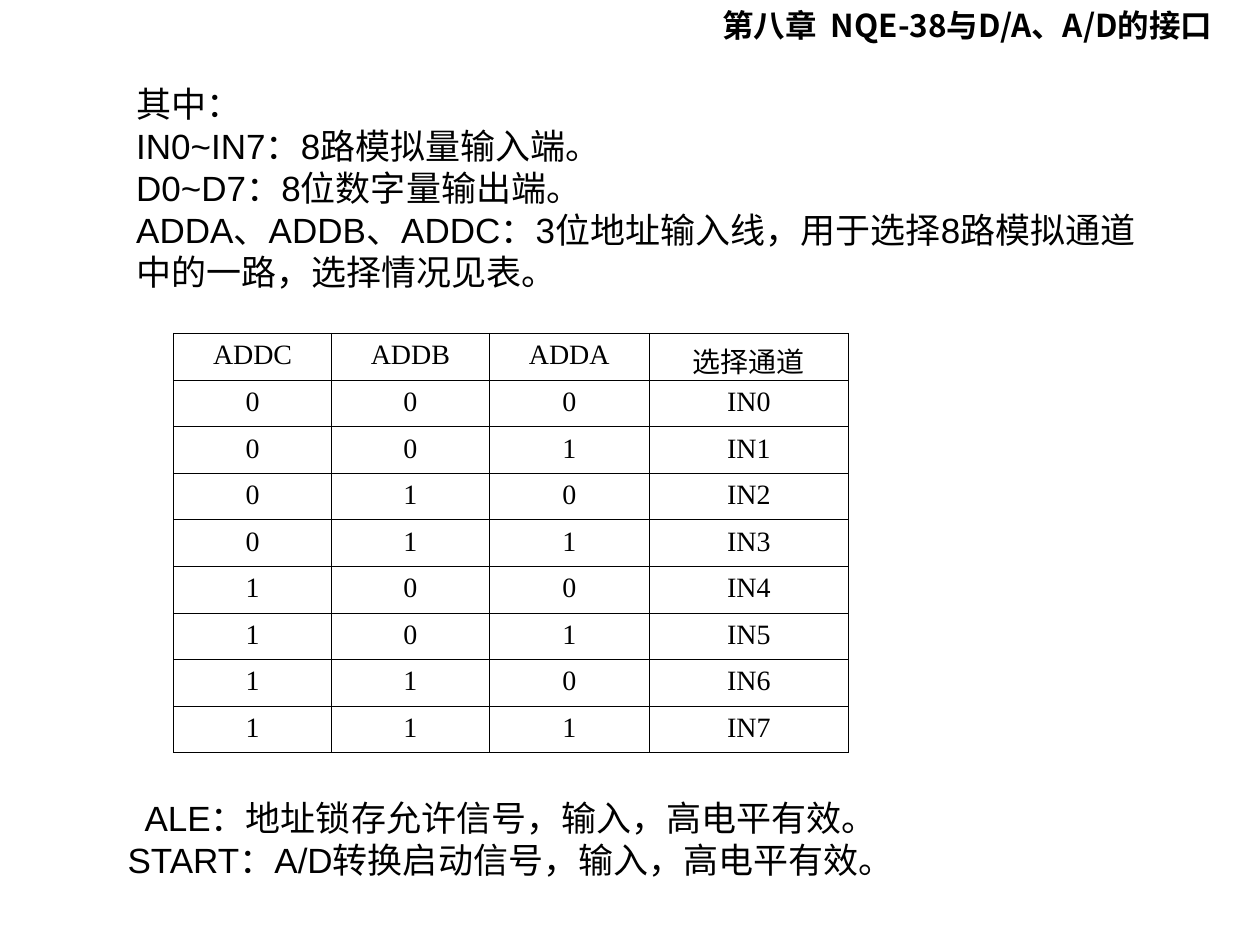
from typing import NamedTuple

from lxml import etree
from pptx import Presentation
from pptx import util as u
from pptx.dml import color
from pptx.enum import text as t
from pptx.oxml import ns

BLACK = "000000"
THIN, SIDE, EDGE = 0.45, 0.34, 0.96  # rule widths: inner, left/right, top/bottom


class Box(NamedTuple):
    left: float
    top: float
    width: float
    height: float


def paint(hue: str) -> color.RGBColor:
    return color.RGBColor.from_string(hue)


def place(shape, box: Box) -> None:
    shape.left, shape.top, shape.width, shape.height = map(u.Pt, box)


def write(frame, lines: str, *, size: float, font: str, hue: str = BLACK,
          bold: bool = False, align=t.PP_ALIGN.LEFT,
          anchor=t.MSO_ANCHOR.TOP, wrap: bool = True) -> None:
    """Fill a text frame, one paragraph per line, without bullets."""
    frame.text = lines
    frame.word_wrap = wrap
    frame.vertical_anchor = anchor
    for para in frame.paragraphs:
        para.alignment = align
        para.space_before = u.Pt(0)
        props = para._p.get_or_add_pPr()
        props.set("marL", "0")
        props.set("indent", "0")
        etree.SubElement(props, ns.qn("a:buNone"))
        for run in para.runs:
            run.font.size = u.Pt(size)
            run.font.name = font
            run.font.bold = bold
            run.font.color.rgb = paint(hue)


def rule(cell, side: str, width: float, hue: str = BLACK) -> None:
    """Draw one border of a cell; call before the cell's fill is set."""
    line = etree.SubElement(cell._tc.get_or_add_tcPr(), ns.qn(f"a:{side}"),
                            w=str(u.Pt(width)))
    fill = etree.SubElement(line, ns.qn("a:solidFill"))
    etree.SubElement(fill, ns.qn("a:srgbClr"), val=hue)


def draw_grid(slide, box: Box, widths: list[float], rows: list[list[str]]) -> None:
    count, span = len(rows), len(widths)
    grid = slide.shapes.add_table(count, span, *map(u.Pt, box)).table
    grid.first_row = grid.horz_banding = False
    for col, width in zip(grid.columns, widths):
        col.width = u.Pt(width)
    for r, row in enumerate(rows):
        grid.rows[r].height = u.Pt(box.height / count)
        for c, word in enumerate(row):
            cell = grid.cell(r, c)
            write(cell.text_frame, word, size=16, font="Times New Roman",
                  align=t.PP_ALIGN.CENTER)
            # The tall header text fits its row only without a bottom margin
            cell.margin_bottom = u.Pt(0 if r == 0 else 3.6)
            rule(cell, "lnL", SIDE if c == 0 else THIN)
            rule(cell, "lnR", SIDE if c == span - 1 else THIN)
            rule(cell, "lnT", EDGE if r == 0 else THIN)
            rule(cell, "lnB", EDGE if r == count - 1 else THIN)
            cell.fill.background()


def main() -> None:
    deck = Presentation()
    deck.slide_width, deck.slide_height = u.Pt(720), u.Pt(540)
    slide = deck.slides.add_slide(deck.slide_layouts[1])
    title, body = slide.placeholders

    # Chapter heading
    place(title, Box(405.4, 0, 439.2, 28.8))
    write(title.text_frame, "第八章  NQE-38与D/A、A/D的接口",
          size=18, font="Noto Sans CJK JP", bold=True)

    # Pin descriptions
    place(body, Box(70.6, 43.2, 595.4, 127.4))
    write(body.text_frame, "\n".join([
        "其中：",
        "IN0~IN7：8路模拟量输入端。",
        "D0~D7：8位数字量输出端。",
        "ADDA、ADDB、ADDC：3位地址输入线，用于选择8路模拟通道中的一路，选择情况见表。",
    ]), size=20, font="Arial", anchor=t.MSO_ANCHOR.MIDDLE)

    # Channel table: each row is the address in binary
    rows = [["ADDC", "ADDB", "ADDA", "选择通道"]]
    rows += [[*f"{n:03b}", f"IN{n}"] for n in range(8)]
    draw_grid(slide, Box(99.2, 190.6, 385.6, 239.4), [90.2, 90.2, 91.4, 113.8], rows)

    # Control signals
    note = slide.shapes.add_textbox(*map(u.Pt, Box(57.6, 451.6, 468.6, 55.2)))
    write(note.text_frame, "\n".join([
        "ALE：地址锁存允许信号，输入，高电平有效。",
        "START：A/D转换启动信号，输入，高电平有效。",
    ]), size=20, font="Arial", align=t.PP_ALIGN.CENTER,
        anchor=t.MSO_ANCHOR.MIDDLE, wrap=False)

    deck.save("out.pptx")


if __name__ == "__main__":
    main()
